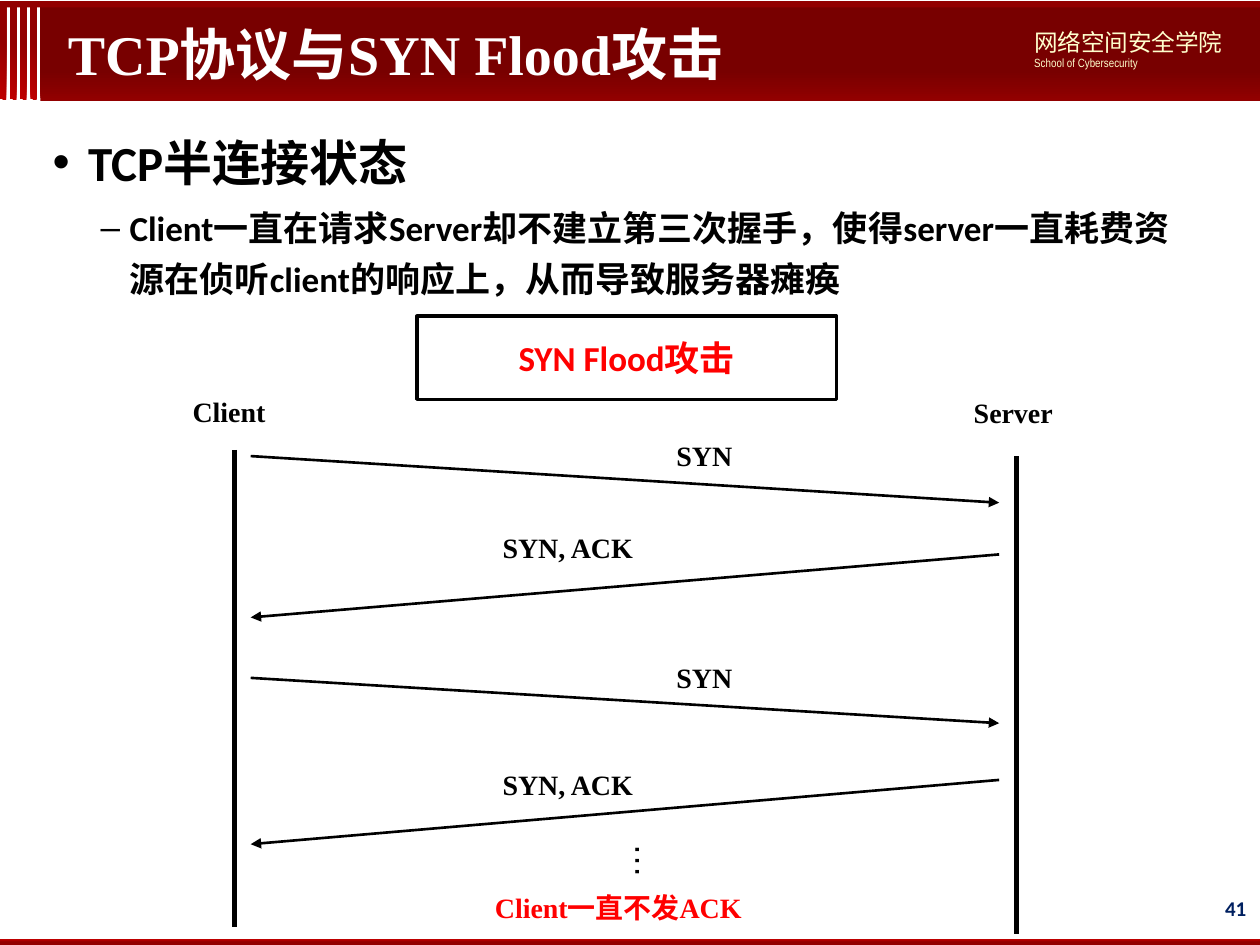
from lxml.etree import SubElement
from pptx import Presentation
from pptx.dml.color import RGBColor
from pptx.enum.shapes import MSO_CONNECTOR, MSO_SHAPE
from pptx.enum.text import MSO_ANCHOR, PP_ALIGN
from pptx.oxml.ns import qn
from pptx.util import Inches, Pt

COLORS = {
    "bright": "C00000",
    "crimson": "920000",
    "maroon": "780000",
    "cream": "FFFFCD",
    "navy": "002060",
    "red": "FF0000",
    "black": "000000",
    "white": "FFFFFF",
}
COLUMNS, ROWS = 100, 75
WIDTH, HEIGHT = Inches(10), Inches(7.5)
SERIF, SANS, CHINESE = "Times New Roman", "Calibri", "Noto Sans CJK SC"


def color(name):
    return RGBColor.from_string(COLORS[name])


def column(count):
    return round(WIDTH * count / COLUMNS)


def row(count):
    return round(HEIGHT * count / ROWS)


def place(left, top, width, height):
    return column(left), row(top), column(width), row(height)


def add_bar(page, area, stops, angle=0):
    bar = page.shapes.add_shape(MSO_SHAPE.RECTANGLE, *place(*area))
    bar.shadow.inherit = False
    bar.line.fill.background()
    if len(stops) == 1:
        bar.fill.solid()
        bar.fill.fore_color.rgb = color(stops[0][1])
        return
    bar.fill.gradient()
    bar.fill.gradient_angle = angle
    for stop, (position, name) in zip(bar.fill.gradient_stops, stops):
        stop.position = position
        stop.color.rgb = color(name)


def add_frame(page, area):
    frame = page.shapes.add_shape(MSO_SHAPE.RECTANGLE, *place(*area))
    frame.shadow.inherit = False
    frame.fill.background()
    frame.line.color.rgb = color("black")
    frame.line.width = Pt(2)
    return frame


def add_box(page, area, anchor=MSO_ANCHOR.TOP):
    box = page.shapes.add_textbox(*place(*area))
    box.text_frame.word_wrap = True
    box.text_frame.vertical_anchor = anchor
    return box


def write(box, text, size=16, font=SERIF, ink="black", bold=True,
          align=PP_ALIGN.LEFT, bullet=None, indent=(0, 0), spacing=None, before=None):
    frame = box.text_frame
    para = frame.add_paragraph() if frame.text else frame.paragraphs[0]
    para.alignment = align
    if spacing:
        para.line_spacing = spacing
    if before:
        para.space_before = Pt(before)
    if bullet:
        properties = para._p.get_or_add_pPr()
        properties.set("marL", str(Inches(indent[0])))
        properties.set("indent", str(Inches(indent[1])))
        SubElement(properties, qn("a:buFont")).set("typeface", "Arial")
        SubElement(properties, qn("a:buChar")).set("char", bullet)
    span = para.add_run()
    span.text = text
    span.font.size = Pt(size)
    span.font.bold = bold
    span.font.color.rgb = color(ink)
    span.font.name = font
    SubElement(span._r.get_or_add_rPr(), qn("a:ea")).set("typeface", CHINESE)


def add_line(page, start, end, width, arrow=False):
    line = page.shapes.add_connector(
        MSO_CONNECTOR.STRAIGHT,
        column(start[0]), row(start[1]), column(end[0]), row(end[1]))
    line.line.color.rgb = color("black")
    line.line.width = Pt(width)
    if arrow:
        SubElement(line.line._get_or_add_ln(), qn("a:tailEnd")).set("type", "triangle")
    SubElement(line._element.spPr, qn("a:effectLst"))


def add_banner(page):
    for index in range(4):
        add_bar(page, (0.8 * index, 0.5, 0.5, 7.4),
                [(0, "bright"), (0.62, "crimson")], angle=45)
    add_bar(page, (3.2, 0.6, 96.8, 7.4), [(0, "crimson"), (0.32, "maroon")], angle=90)
    add_bar(page, (0, 74.5, 100, 0.5), [(0.1, "bright"), (0.54, "crimson")], angle=270)
    add_bar(page, (0, 0.1, 100, 0.5), [(0, "crimson")])

    school = add_box(page, (81.1, 1.7, 18.1, 4.4))
    write(school, "网络空间安全学院", size=13.5, font=CHINESE, ink="cream", bold=False)
    write(school, "School of Cybersecurity", size=6.8, font="Arial Narrow",
          ink="cream", bold=False)
    title = add_box(page, (4.4, 0.5, 67.7, 7.4), MSO_ANCHOR.MIDDLE)
    write(title, "TCP协议与SYN Flood攻击", size=32, ink="white")
    number = add_box(page, (76.6, 70.1, 23.3, 4), MSO_ANCHOR.MIDDLE)
    write(number, "41", size=12, font=SANS, ink="navy", align=PP_ALIGN.RIGHT)


def add_points(page):
    body = add_box(page, (3.2, 9.1, 93.1, 15.3))
    write(body, "TCP半连接状态", size=28, font=SANS, bullet="•",
          indent=(0.28, -0.28), spacing=1.2)
    write(body, "Client一直在请求Server却不建立第三次握手，使得server一直耗费"
          "资源在侦听client的响应上，从而导致服务器瘫痪",
          size=20, font=SANS, bullet="–", indent=(0.61, -0.23), spacing=1.2, before=4)


def add_exchange(page):
    frame = add_frame(page, (33.1, 25.1, 33.3, 6.6))
    frame.text_frame.vertical_anchor = MSO_ANCHOR.MIDDLE
    write(frame, "SYN Flood攻击", size=20, font=SANS, ink="red", align=PP_ALIGN.CENTER)

    for name, center, top, left, label_top in (
            ("Client", 18.6, 35.7, 14.3, 30.8), ("Server", 80.7, 36.2, 76.3, 30.9)):
        add_line(page, (center, top), (center, top + 37.9), 3)
        write(add_box(page, (left, label_top, 8.7, 3.7)), name)

    client, server = 19.9, 79.3
    for start, end, label_top in ((36.2, 39.9, 34.3), (53.8, 57.4, 51.9)):
        add_line(page, (client, start), (server, end), 1.5, arrow=True)
        write(add_box(page, (52.7, label_top, 7.3, 3.7)), "SYN")
    for start, end, label_top in ((44, 49, 41.6), (61.9, 67, 60.4)):
        add_line(page, (server, start), (client, end), 1.5, arrow=True)
        write(add_box(page, (38.9, label_top, 13.8, 3.7)), "SYN, ACK")

    write(add_box(page, (38.3, 70.2, 25.4, 3.7)), "Client一直不发ACK", ink="red")
    dots = add_box(page, (48.3, 66, 5.4, 5.7))
    dots.text_frame._txBody.bodyPr.set("vert", "eaVert")
    write(dots, "…", size=20, font="Arial", bold=False)


def main():
    deck = Presentation()
    deck.slide_width, deck.slide_height = WIDTH, HEIGHT
    page = deck.slides.add_slide(deck.slide_layouts[6])
    add_banner(page)
    add_points(page)
    add_exchange(page)
    deck.save("out.pptx")


if __name__ == "__main__":
    main()
